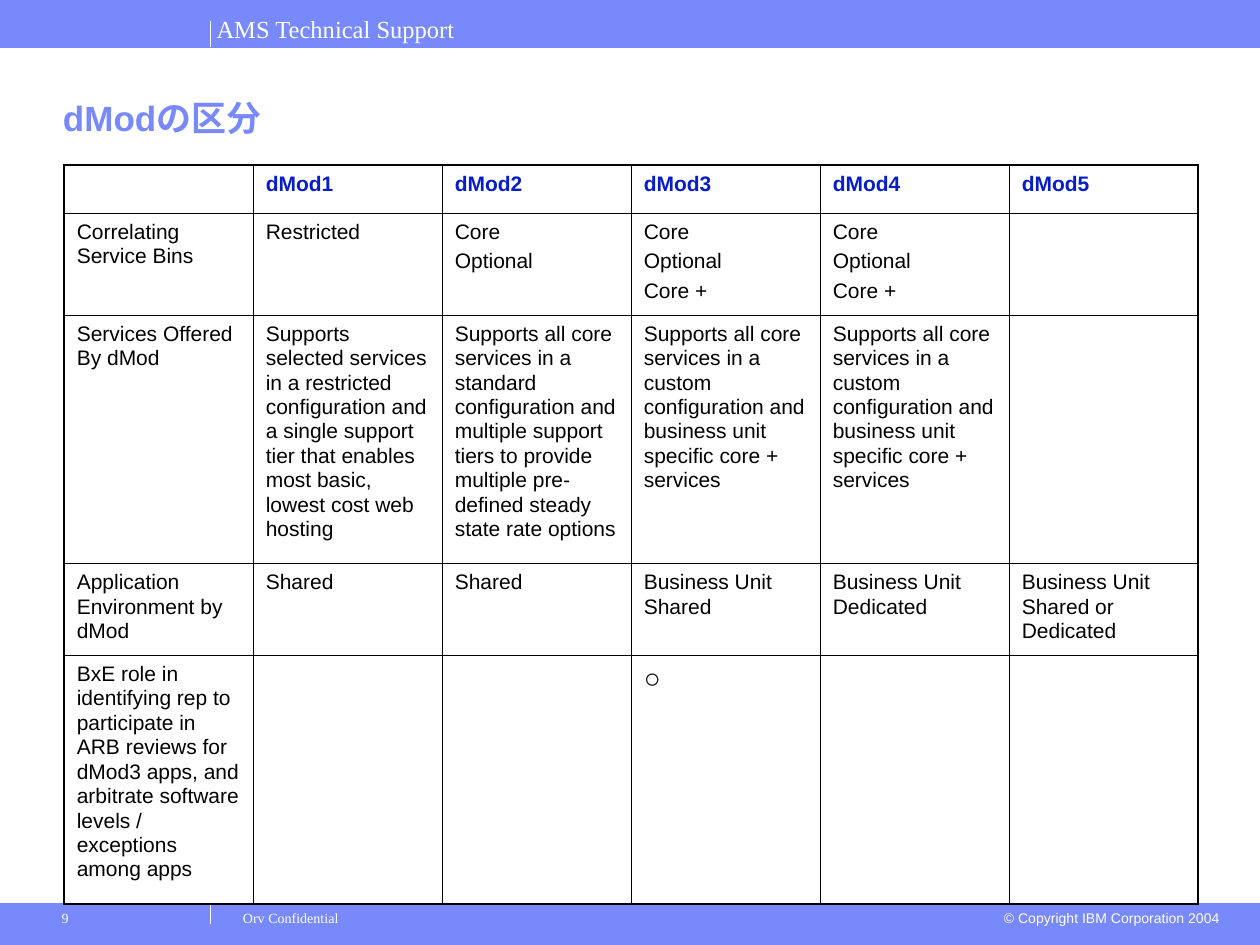
from lxml import etree
from pptx import Presentation
from pptx import util as u
from pptx.dml.color import RGBColor
from pptx.enum import shapes, text
from pptx.oxml.ns import qn

COLORS = {"band": "7889FB", "heading": "061DC8", "ink": "000000", "paper": "FFFFFF"}
SANS, SERIF = "Arial", "Times New Roman"

CORE_PLUS = ["Core", "Optional", "Core +"]
CUSTOM = ("Supports all core services in a custom configuration "
          "and business unit specific core + services")
ROWS = [
    ["", "dMod1", "dMod2", "dMod3", "dMod4", "dMod5"],
    ["Correlating Service Bins", "Restricted", ["Core", "Optional"], CORE_PLUS, CORE_PLUS, ""],
    ["Services Offered By dMod",
     "Supports selected services in a restricted configuration and a single "
     "support tier that enables most basic, lowest cost web hosting",
     "Supports all core services in a standard configuration and multiple support "
     "tiers to provide multiple pre-defined steady state rate options",
     CUSTOM, CUSTOM, ""],
    ["Application Environment by dMod", "Shared", "Shared", "Business Unit Shared",
     "Business Unit Dedicated", "Business Unit Shared or Dedicated"],
    ["BxE role in identifying rep to participate in ARB reviews for dMod3 apps, "
     "and arbitrate software levels / exceptions among apps", "", "", "○", "", ""],
]
ROW_HEIGHTS = [0.38, 0.81, 1.97, 0.73, 1.97]
COLUMN_WIDTH = 1.5
TABLE_LEFT, TABLE_TOP = 0.51, 1.31
OUTER, INNER = 1.08, 0.45

BANDS = [(7.18, 0.32), (0, 0.37)]
RULES = [
    (1.67, 0.42, 1.67, 0.17, "paper", 0.75),
    (1.67, 7.33, 1.67, 7.08, "paper", 0.75),
    (0, 0.38, 10, 0.38, "band", 0.5),
    (0, 7.17, 10, 7.17, "band", 0.5),
]
HEADER = ("AMS Technical Support", (1.62, 0.07, 4.88, 0.33),
          dict(size=14, font=SERIF, color="paper", spacing=0.98))
COPYRIGHT = ("© Copyright IBM Corporation 2004", (7.83, 7.17, 1.95, 0.24),
             dict(size=8, color="paper", align=text.PP_ALIGN.RIGHT))
TITLE = ("dModの区分", (0.5, 0.43, 9, 0.72),
         dict(size=20, color="band", bold=True, insets=(0, 0.05, 0, 0.05),
              anchor=text.MSO_ANCHOR.BOTTOM))
FOOTER = dict(size=8, font=SERIF, color="paper")
CONFIDENTIAL = ("Orv Confidential", (1.83, 7.15, 6, 0.35),
                dict(FOOTER, insets=(0.1, 0.07, 0.1, 0.05)))
PAGE = ("9", (0.33, 7.15, 1.33, 0.35), dict(FOOTER, insets=(0.16, 0.07, 0.1, 0.05)))


def rgb(name):
    return RGBColor.from_string(COLORS[name])


def write(frame, content, size=12, font=SANS, color="ink", bold=False,
          align=text.PP_ALIGN.LEFT, spacing=None, before=0):
    lines = content if isinstance(content, list) else [content]
    for index, line in enumerate(lines):
        paragraph = frame.add_paragraph() if index else frame.paragraphs[0]
        paragraph.alignment = align
        paragraph.space_before = u.Pt(before if index else 0)
        if spacing:
            paragraph.line_spacing = spacing
        paragraph.font.size = u.Pt(size)
        if line:
            run = paragraph.add_run()
            run.text = line
            run.font.size, run.font.name, run.font.bold = u.Pt(size), font, bold
            run.font.color.rgb = rgb(color)


def add_label(slide, content, place, insets=(0.1, 0.05, 0.1, 0.05),
              anchor=text.MSO_ANCHOR.TOP, **style):
    frame = slide.shapes.add_textbox(*map(u.Inches, place)).text_frame
    frame.word_wrap = True
    frame.vertical_anchor = anchor
    (frame.margin_left, frame.margin_top,
     frame.margin_right, frame.margin_bottom) = map(u.Inches, insets)
    write(frame, content, **style)


def add_band(slide, top, height):
    band = slide.shapes.add_shape(shapes.MSO_SHAPE.RECTANGLE, 0, u.Inches(top),
                                  u.Inches(10), u.Inches(height))
    band.shadow.inherit = False
    band.fill.solid()
    band.fill.fore_color.rgb = band.line.color.rgb = rgb("band")
    band.line.width = u.Pt(0.75)


def add_rule(slide, x1, y1, x2, y2, color, width):
    rule = slide.shapes.add_connector(shapes.MSO_CONNECTOR.STRAIGHT,
                                      *map(u.Inches, (x1, y1, x2, y2)))
    rule.line.color.rgb = rgb(color)
    rule.line.width = u.Pt(width)
    etree.SubElement(rule._element.spPr, qn("a:effectLst"))


def border(cell, side, width):
    line = etree.SubElement(cell._tc.get_or_add_tcPr(), qn("a:ln" + side),
                            w=str(u.Pt(width)))
    fill = etree.SubElement(line, qn("a:solidFill"))
    etree.SubElement(fill, qn("a:srgbClr"), val=COLORS["ink"])


def add_grid(slide):
    last_row, last_column = len(ROWS) - 1, len(ROWS[0]) - 1
    grid = slide.shapes.add_table(
        len(ROWS), len(ROWS[0]), u.Inches(TABLE_LEFT), u.Inches(TABLE_TOP),
        u.Inches(COLUMN_WIDTH * len(ROWS[0])), u.Inches(sum(ROW_HEIGHTS))).table
    grid.first_row = grid.horz_banding = False
    for column in grid.columns:
        column.width = u.Inches(COLUMN_WIDTH)
    for r, row in enumerate(ROWS):
        grid.rows[r].height = u.Inches(ROW_HEIGHTS[r])
        for c, content in enumerate(row):
            cell = grid.cell(r, c)
            edges = {"L": c == 0, "R": c == last_column, "T": r == 0, "B": r == last_row}
            for side, outside in edges.items():
                border(cell, side, OUTER if outside else INNER)
            cell.fill.background()
            write(cell.text_frame, content, size=16 if content == "○" else 12,
                  color="ink" if r else "heading", bold=r == 0, spacing=1.04, before=3)


def main():
    deck = Presentation()
    deck.slide_width, deck.slide_height = u.Inches(10), u.Inches(7.5)
    slide = deck.slides.add_slide(deck.slide_layouts[6])
    for band in BANDS:
        add_band(slide, *band)
    for rule in RULES:
        add_rule(slide, *rule)
    for content, place, style in (HEADER, COPYRIGHT, TITLE):
        add_label(slide, content, place, **style)
    add_grid(slide)
    for content, place, style in (CONFIDENTIAL, PAGE):
        add_label(slide, content, place, **style)
    deck.save("out.pptx")


if __name__ == "__main__":
    main()
